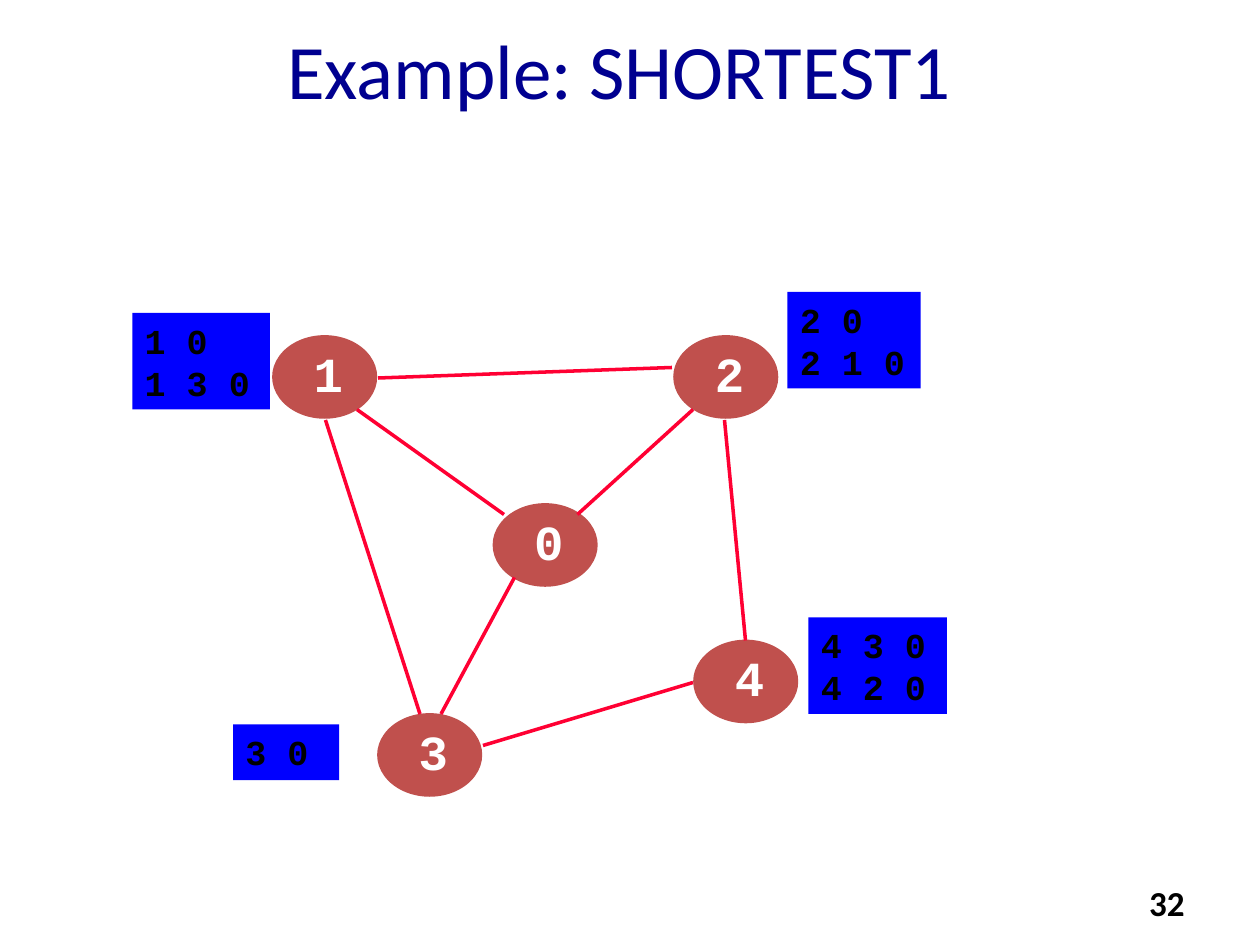
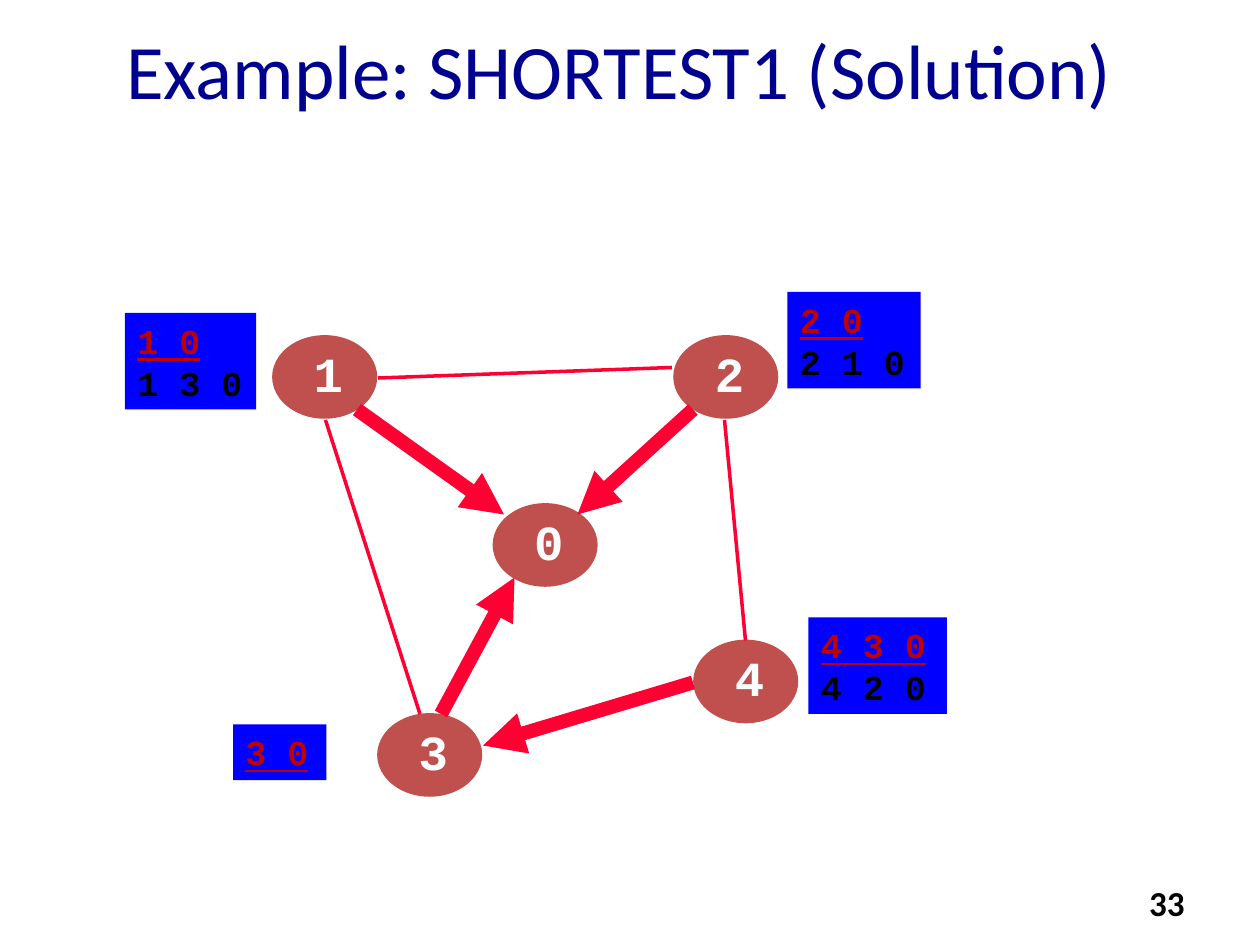
from lxml import etree
from pptx import Presentation
from pptx.dml.color import RGBColor
from pptx.enum.shapes import MSO_CONNECTOR, MSO_SHAPE
from pptx.enum.text import MSO_ANCHOR, MSO_AUTO_SIZE, PP_ALIGN
from pptx.oxml.ns import qn
from pptx.util import Inches, Pt

OVAL, RECT = MSO_SHAPE.OVAL, MSO_SHAPE.RECTANGLE
LINE = MSO_CONNECTOR.STRAIGHT
TOP, MIDDLE = MSO_ANCHOR.TOP, MSO_ANCHOR.MIDDLE
LEFT, CENTER, RIGHT = PP_ALIGN.LEFT, PP_ALIGN.CENTER, PP_ALIGN.RIGHT
FIXED, GROW = MSO_AUTO_SIZE.NONE, MSO_AUTO_SIZE.SHAPE_TO_FIT_TEXT

COLS, ROWS = 120, 90
SANS, MONO = "Calibri", "Courier New"
NAVY, BLACK, WHITE = "000090", "000000", "FFFFFF"
BRICK, BLUE, RED, BEST = "C0504D", "0000FF", "FF0033", "C00000"

# Name, column and row of each node
NODES = [("1", 26, 32), ("2", 64.2, 32), ("4", 66.1, 61),
         ("3", 36, 68), ("0", 47, 48)]

# Start, end and whether the edge lies on a shortest path
EDGES = [((34, 39), (48, 49), True), ((36, 36), (64, 35), False),
         ((66, 39), (55, 49), True), ((71, 61), (69, 40), False),
         ((40, 68), (31, 40), False), ((66, 65), (46, 71), True),
         ((42, 68), (49, 55), True)]

# Column, row and width of each route box, then its routes, shortest first
ROUTE_2 = (75, 27.8, 12.7, ["2 0", "2 1 0"])
ROUTE_4 = (77, 58.8, 13.2, ["4 3 0", "4 2 0"])
TASK = [ROUTE_2, (12.6, 29.8, 13.1, ["1 0", "1 3 0"]),
        ROUTE_4, (22.2, 69, 10.1, ["3 0"])]
ANSWER = [ROUTE_2, (11.9, 29.8, 12.5, ["1 0", "1 3 0"]),
          ROUTE_4, (22.2, 69, 8.9, ["3 0"])]


def rgb(code):
    return RGBColor.from_string(code)


class Deck:
    """Holds the shared style, the grid and the current slide."""

    def __init__(self):
        self.prs = Presentation()
        self.prs.slide_width, self.prs.slide_height = Inches(10), Inches(7.5)
        self.slide = None

    def grid(self, *cells):
        """Turn alternating columns and rows into lengths."""
        units = (self.prs.slide_width / COLS, self.prs.slide_height / ROWS)
        return [round(cell * units[i % 2]) for i, cell in enumerate(cells)]

    def frame(self, shape, anchor=TOP, wrap=True, fit=FIXED):
        text = shape.text_frame
        text.word_wrap, text.auto_size = wrap, fit
        text.vertical_anchor = anchor
        return text

    def run(self, para, words, size, color, face=MONO, bold=True,
            line=False, align=LEFT):
        para.alignment = align
        run = para.add_run()
        run.text = words
        font = run.font
        font.name, font.size, font.bold = face, Pt(size), bold
        font.underline = line
        font.color.rgb = rgb(color)

    def page(self, title, number):
        self.slide = self.prs.slides.add_slide(self.prs.slide_layouts[5])
        box = self.slide.shapes.add_textbox(*self.grid(86, 83.4, 28, 4.8))
        self.run(self.frame(box).paragraphs[0], number, 20, BLACK, SANS,
                 align=RIGHT)
        head = self.slide.shapes.title
        head.left, head.top, head.width, head.height = self.grid(2, 4, 114, 5)
        self.run(self.frame(head, MIDDLE).paragraphs[0], title, 44, NAVY, SANS,
                 bold=False, align=CENTER)

    def solid(self, shapes, kind, cells, color):
        shape = shapes.add_shape(kind, *self.grid(*cells))
        shape.shadow.inherit = False
        shape.fill.solid()
        shape.fill.fore_color.rgb = rgb(color)
        return shape

    def node(self, name, col, row):
        shapes = self.slide.shapes.add_group_shape().shapes
        oval = self.solid(shapes, OVAL, (col, row, 9.84, 7.8), BRICK)
        oval.line.color.rgb = rgb(BRICK)
        oval.line.width = Pt(1)
        box = shapes.add_textbox(*self.grid(col + 2.7, row + 0.1, 5, 6.8))
        text = self.frame(box, wrap=False, fit=GROW)
        self.run(text.paragraphs[0], name, 28, WHITE)

    def edge(self, start, end, strong):
        line = self.slide.shapes.add_connector(LINE, *self.grid(*start, *end))
        line.line.color.rgb = rgb(RED)
        line.line.width = Pt(8 if strong else 2)
        if strong:
            pen = line.line._get_or_add_ln()
            etree.SubElement(pen, qn("a:tailEnd"), type="triangle")
        etree.SubElement(line._element.spPr, qn("a:effectLst"))

    def routes(self, col, row, width, paths, solved):
        high = 1.4 + 3.9 * len(paths)
        box = self.solid(self.slide.shapes, RECT, (col, row, width, high), BLUE)
        box.line.fill.background()
        text = self.frame(box, fit=GROW)
        for i, words in enumerate(paths):
            para = text.add_paragraph() if i else text.paragraphs[0]
            best = solved and i == 0
            self.run(para, words, 20, BEST if best else BLACK, line=best)

    def graph(self, boxes, solved):
        for node in NODES:
            self.node(*node)
        for start, end, short in EDGES:
            self.edge(start, end, solved and short)
        for box in boxes:
            self.routes(*box, solved)


def main():
    deck = Deck()
    deck.page("Example: SHORTEST1", "32")
    deck.graph(TASK, solved=False)
    deck.page("Example: SHORTEST1 (Solution)", "33")
    deck.graph(ANSWER, solved=True)
    deck.prs.save("out.pptx")


if __name__ == "__main__":
    main()
